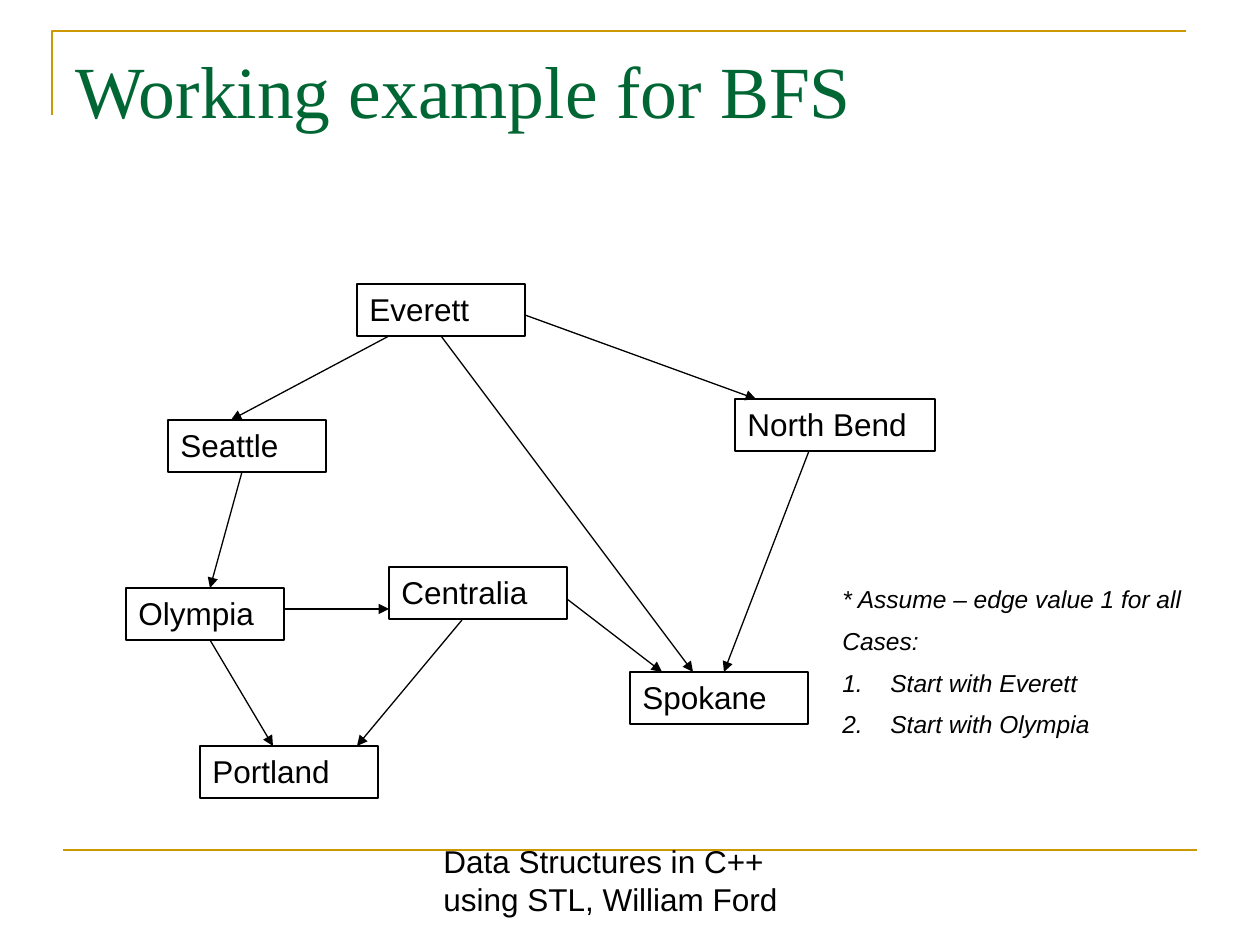
from lxml import etree
from pptx import Presentation
from pptx.dml.color import RGBColor
from pptx.enum.shapes import MSO_CONNECTOR, MSO_SHAPE
from pptx.enum.text import MSO_ANCHOR, PP_ALIGN
from pptx.oxml.ns import qn
from pptx.util import Pt

PX = 914400 / 126
LINE = MSO_CONNECTOR.STRAIGHT
RECT = MSO_SHAPE.RECTANGLE
TOP, BOTTOM = MSO_ANCHOR.TOP, MSO_ANCHOR.BOTTOM
LEFT = PP_ALIGN.LEFT
COLORS = {"gold": "CC9900", "green": "006633", "black": "000000"}
NODE_HEIGHT = 52
NODES = [
    ("Seattle", 168, 420, 158),
    ("Olympia", 126, 588, 158),
    ("Everett", 357, 284, 168),
    ("Portland", 200, 746, 178),
    ("Spokane", 630, 672, 178),
    ("North Bend", 735, 399, 200),
    ("Centralia", 389, 567, 178),
]
EDGES = [
    (389, 336, 231, 420),
    (242, 472, 210, 588),
    (284, 609, 389, 609),
    (210, 640, 273, 746),
    (462, 620, 357, 746),
    (567, 599, 662, 672),
    (525, 315, 756, 399),
    (809, 451, 724, 672),
    (441, 336, 693, 672),
]
NOTES = [
    ("* Assume – edge value 1 for all", False),
    ("Cases:", False),
    ("Start with Everett", True),
    ("Start with Olympia", True),
]


def px(*values):
    return [round(v * PX) for v in values]


def rgb(name):
    return RGBColor.from_string(COLORS[name])


def set_line(s, color, width):
    s.line.color.rgb = rgb(color)
    s.line.width = Pt(width)


def write(s, lines, size, font="Arial", color="black", italic=False, anchor=TOP):
    tf = s.text_frame
    tf.text = "\n".join(lines)
    tf.word_wrap = True
    tf.vertical_anchor = anchor
    for p in tf.paragraphs:
        p.alignment = LEFT
        for r in p.runs:
            r.font.size = Pt(size)
            r.font.name = font
            r.font.italic = italic
            r.font.color.rgb = rgb(color)
    return tf


def add_text(slide, box, lines, size, **style):
    return write(slide.shapes.add_textbox(*px(*box)), lines, size, **style)


def add_node(slide, name, x, y, width):
    s = slide.shapes.add_shape(RECT, *px(x, y, width, NODE_HEIGHT))
    s.shadow.inherit = False
    s.fill.background()
    set_line(s, "black", 0.75)
    write(s, [name], 18)


def add_line(slide, ends, color, width, arrow=False):
    s = slide.shapes.add_connector(LINE, *px(*ends))
    set_line(s, color, width)
    if arrow:
        etree.SubElement(s.line._get_or_add_ln(), qn("a:tailEnd"), type="triangle")
    etree.SubElement(s._element.spPr, qn("a:effectLst"))


def add_corner(slide):
    builder = slide.shapes.build_freeform(52, 115, scale=PX)
    builder.add_line_segments([(52, 31), (1186, 31)], close=False)
    s = builder.convert_to_shape()
    s.shadow.inherit = False
    s.fill.background()
    set_line(s, "gold", 1.5)


def add_notes(slide):
    tf = add_text(slide, (830, 578, 388, 174), [t for t, _ in NOTES], 14, italic=True)
    indent = px(48)[0]
    for i, (p, (_, numbered)) in enumerate(zip(tf.paragraphs, NOTES)):
        p.space_before = Pt(7 if i else 0)
        pPr = p._p.get_or_add_pPr()
        pPr.set("marL", str(indent))
        pPr.set("indent", str(-indent))
        if numbered:
            etree.SubElement(pPr, qn("a:buAutoNum"), type="arabicPeriod")
        else:
            etree.SubElement(pPr, qn("a:buNone"))


def main():
    """Build the slide with the city graph for breadth-first search."""
    prs = Presentation()
    prs.slide_width, prs.slide_height = px(1260, 945)
    slide = prs.slides.add_slide(prs.slide_layouts[6])
    add_corner(slide)
    add_line(slide, (63, 850, 1197, 850), "gold", 1.5)
    add_text(slide, (431, 861, 399, 63),
             ["Data Structures in C++ using STL, William Ford"], 18, anchor=BOTTOM)
    add_text(slide, (63, 39, 1134, 158), ["Working example for BFS"], 42,
             font="Times New Roman", color="green")
    for node in NODES:
        add_node(slide, *node)
    for edge in EDGES:
        add_line(slide, edge, "black", 0.75, arrow=True)
    add_notes(slide)
    prs.save("out.pptx")


if __name__ == "__main__":
    main()
